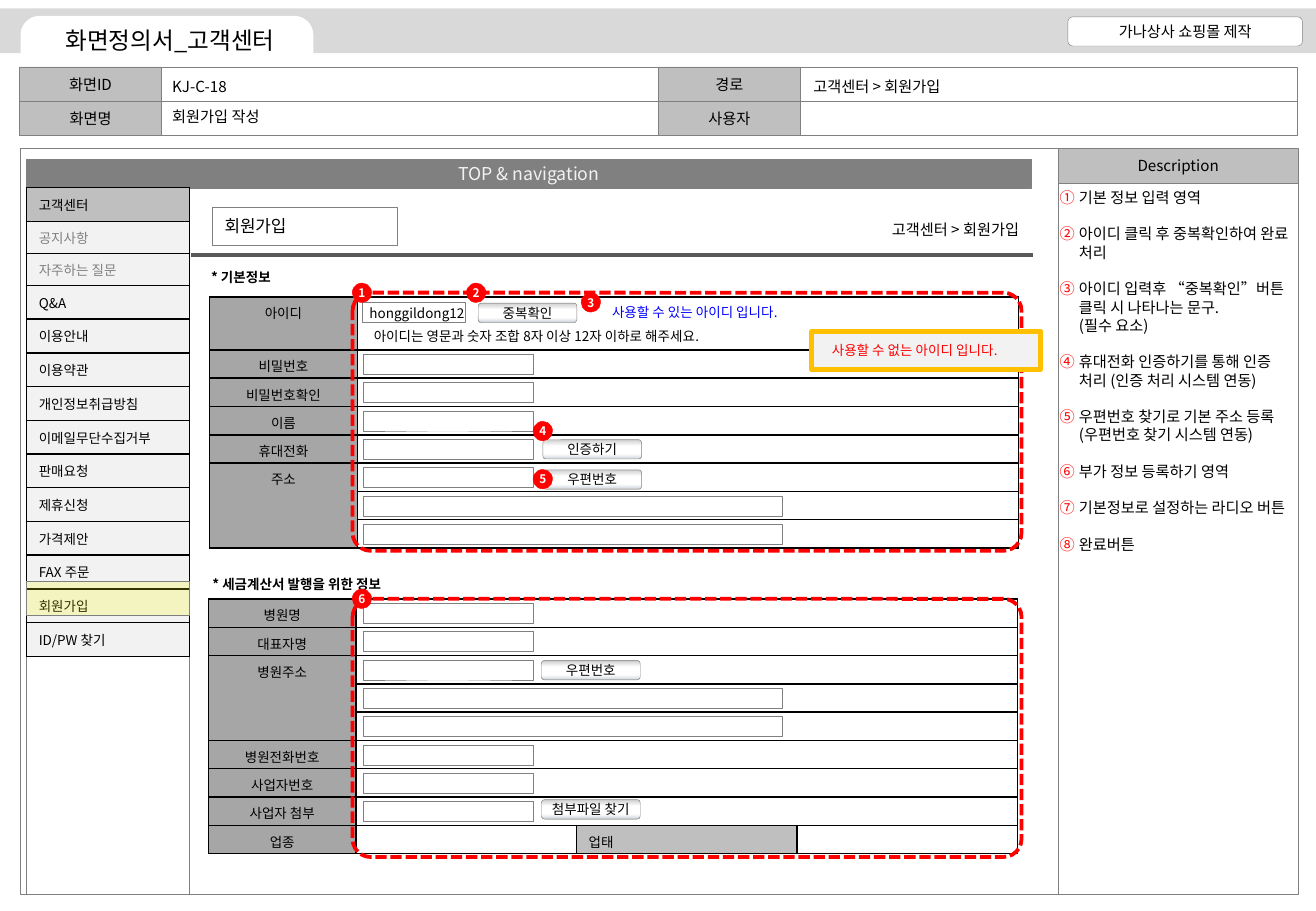
from dataclasses import dataclass

from lxml.etree import SubElement
from pptx import Presentation
from pptx.dml.color import RGBColor
from pptx.enum.dml import MSO_LINE
from pptx.enum.shapes import MSO_CONNECTOR, MSO_SHAPE
from pptx.enum.text import MSO_ANCHOR, MSO_AUTO_SIZE, PP_ALIGN
from pptx.oxml.ns import qn
from pptx.util import Pt


@dataclass(frozen=True)
class Theme:
    font: str = "Noto Sans CJK KR"
    black: str = "000000"
    white: str = "FFFFFF"
    pale: str = "F2F2F2"
    band: str = "D9D9D9"
    silver: str = "BFBFBF"
    label: str = "A6A6A6"
    gray: str = "808080"
    dark: str = "595959"
    red: str = "FF0000"
    blue: str = "0000FF"
    amber: str = "FFC000"
    yellow: str = "FFFF00"
    title: float = 14
    navigation: float = 10.5
    heading: float = 10
    body: float = 9
    small: float = 8
    badge: float = 7
    hairline: float = 0.25
    gloss: tuple = ((0, "BFBFBF"), (8, "D9D9D9"), (34, "FFFFFF"),
                    (74, "FFFFFF"), (93, "DDE1E7"), (100, "CCCCCC"))


class Wireframe:
    """Draw screen elements on one slide in a shared style."""

    def __init__(self, slide, theme):
        self.slide, self.theme = slide, theme

    def style_text(self, frame, text, size, color=None, align=PP_ALIGN.LEFT, bold=False):
        frame.text = text
        for paragraph in frame.paragraphs:
            paragraph.alignment = align
            for run in paragraph.runs:
                run.font.name, run.font.size, run.font.bold = self.theme.font, Pt(size), bold
                run.font.color.rgb = RGBColor.from_string(color or self.theme.black)
                SubElement(run.font._element, qn("a:ea"), typeface=self.theme.font)

    def title(self, text, left, top, width, height):
        shape = self.slide.shapes.title
        shape.left, shape.top, shape.width, shape.height = map(Pt, (left, top, width, height))
        frame = shape.text_frame
        self.style_text(frame, text, self.theme.title, align=PP_ALIGN.CENTER)
        frame.auto_size, frame.vertical_anchor = MSO_AUTO_SIZE.NONE, MSO_ANCHOR.MIDDLE
        frame.margin_left = frame.margin_right = frame.margin_top = frame.margin_bottom = 0
        self.slide.shapes._spTree.append(shape._element)

    def shape(self, left, top, width, height, text="", fill=None, line=None, weight=None,
              kind=MSO_SHAPE.RECTANGLE, size=None, color=None, align=PP_ALIGN.CENTER,
              bold=False, inset=7.2):
        shape = self.slide.shapes.add_shape(kind, *map(Pt, (left, top, width, height)))
        shape.shadow.inherit = False
        if fill:
            shape.fill.solid()
            shape.fill.fore_color.rgb = RGBColor.from_string(fill)
        else:
            shape.fill.background()
        if line:
            shape.line.color.rgb = RGBColor.from_string(line)
            shape.line.width = Pt(weight or self.theme.hairline)
        else:
            shape.line.fill.background()
        if text:
            frame = shape.text_frame
            frame.margin_left = frame.margin_right = Pt(inset)
            frame.margin_top = frame.margin_bottom = 0
            frame.vertical_anchor = MSO_ANCHOR.MIDDLE
            self.style_text(frame, text, size or self.theme.body, color, align, bold)
        return shape

    def text(self, left, top, width, height, text, size=None, color=None,
             align=PP_ALIGN.LEFT, bold=False):
        box = self.slide.shapes.add_textbox(*map(Pt, (left, top, width, height)))
        frame = box.text_frame
        frame.word_wrap, frame.vertical_anchor = True, MSO_ANCHOR.MIDDLE
        frame.margin_top = frame.margin_bottom = 0
        self.style_text(frame, text, size or self.theme.body, color, align, bold)
        return box

    def numbered_list(self, left, top, width, height, items):
        frame = self.text(left, top, width, height, "\n".join(items)).text_frame
        frame.margin_left = frame.margin_right = 0
        frame.vertical_anchor = MSO_ANCHOR.TOP
        for number, paragraph in enumerate(frame.paragraphs):
            paragraph.line_spacing = Pt(10.84)
            paragraph.space_before = Pt(10.84 if number else 0)
            properties = paragraph._p.get_or_add_pPr()
            properties.set("marL", str(Pt(11.5)))
            properties.set("indent", str(-Pt(11.5)))
            SubElement(SubElement(properties, qn("a:buClr")), qn("a:srgbClr"), val=self.theme.red)
            SubElement(properties, qn("a:buAutoNum"), type="circleNumDbPlain")

    def line(self, left, right, top, color, weight):
        connector = self.slide.shapes.add_connector(
            MSO_CONNECTOR.STRAIGHT, Pt(left), Pt(top), Pt(right), Pt(top))
        connector.line.color.rgb = RGBColor.from_string(color)
        connector.line.width = Pt(weight)
        SubElement(connector._element.spPr, qn("a:effectLst"))

    def field(self, left, top, width=101, height=11.8):
        self.shape(left, top, width, height, line=self.theme.gray)

    def button(self, left, top, text):
        shape = self.shape(left, top, 58.5, 11.5, text, line=self.theme.gray,
                           kind=MSO_SHAPE.ROUNDED_RECTANGLE, size=self.theme.small, inset=0)
        shape.fill.gradient()
        shape.fill.gradient_angle = 270
        stops = shape._element.spPr.find(qn("a:gradFill")).find(qn("a:gsLst"))
        stops.clear()
        for position, color in self.theme.gloss:
            stop = SubElement(stops, qn("a:gs"), pos=str(position * 1000))
            SubElement(stop, qn("a:srgbClr"), val=color)

    def badge(self, left, top, number):
        self.shape(left, top, 11.5, 11.5, str(number), self.theme.red, self.theme.red,
                   kind=MSO_SHAPE.OVAL, size=self.theme.badge, color=self.theme.white,
                   bold=True, inset=0)

    def region(self, left, top, width, height):
        shape = self.shape(left, top, width, height, line=self.theme.red, weight=2.25,
                           kind=MSO_SHAPE.ROUNDED_RECTANGLE)
        shape.adjustments[0] = 0.07
        shape.line.dash_style = MSO_LINE.SQUARE_DOT

    def table(self, left, top, widths, heights, merges=()):
        table = self.slide.shapes.add_table(
            len(heights), len(widths), Pt(left), Pt(top), Pt(sum(widths)), Pt(sum(heights))).table
        for column, width in zip(table.columns, widths):
            column.width = Pt(width)
        for row, height in zip(table.rows, heights):
            row.height = Pt(height)
        for first, last in merges:
            table.cell(*first).merge(table.cell(*last))
        return table

    def cell(self, cell, text, fill, color=None, align=PP_ALIGN.LEFT, anchor=MSO_ANCHOR.TOP):
        self.style_text(cell.text_frame, text, self.theme.small, color, align)
        if not text:
            cell.text_frame.paragraphs[0]._p.get_or_add_endParaRPr().set("sz", "800")
        cell.vertical_anchor = anchor
        cell.margin_top = Pt(3.6 if anchor == MSO_ANCHOR.TOP else 1)
        cell.margin_bottom = Pt(1)
        for side in ("a:lnL", "a:lnR", "a:lnT", "a:lnB"):
            border = SubElement(cell._tc.get_or_add_tcPr(), qn(side), w=str(Pt(1)))
            SubElement(SubElement(border, qn("a:solidFill")), qn("a:srgbClr"), val=self.theme.black)
        cell.fill.solid()
        cell.fill.fore_color.rgb = RGBColor.from_string(fill)

    def form(self, left, top, widths, heights, labels, extras, merges):
        table = self.table(left, top, widths, heights, merges)
        for row, label in enumerate(labels):
            self.cell(table.cell(row, 0), label, self.theme.label, align=PP_ALIGN.CENTER)
            for column in range(1, len(widths)):
                text, fill = extras.get((row, column), ("", self.theme.white))
                self.cell(table.cell(row, column), text, fill)


theme = Theme()
presentation = Presentation()
presentation.slide_width, presentation.slide_height = Pt(780), Pt(540)
screen = Wireframe(presentation.slides.add_slide(presentation.slide_layouts[5]), theme)

for row, labels in enumerate((("화면ID", "경로"), ("화면명", "사용자"))):
    for column, label in enumerate(labels):
        left, top = 11.5 + 378.6 * column, 39.6 + 20.4 * row
        screen.shape(left, top, 84.3, 20.4, label, theme.silver, theme.gray)
        screen.shape(left + 84.3, top, 294.3, 20.4, line=theme.gray)
for left, top, text in ((95, 42, "KJ-C-18"), (95, 60, "회원가입 작성"), (475, 42, "고객센터 > 회원가입")):
    screen.text(left, top, 150, 18, text)

screen.shape(12, 88, 615.5, 442, line=theme.gray)
screen.shape(627.3, 88, 142, 20.5, "Description", theme.silver, theme.gray)
screen.shape(627.3, 108.5, 142, 421.5, line=theme.gray)
screen.shape(0, 5, 780, 26.6, fill=theme.band)
tab = screen.shape(12.2, 9.4, 173.5, 22.3, fill=theme.white, kind=MSO_SHAPE.ROUND_2_SAME_RECTANGLE)
tab.adjustments[0] = 0.5
screen.title("화면정의서_고객센터", 21.6, 15, 158.4, 17.3)
screen.shape(633, 10, 139, 17.3, "가나상사 쇼핑몰 제작", theme.white, theme.gray,
             kind=MSO_SHAPE.ROUNDED_RECTANGLE)
screen.numbered_list(628, 111.6, 142, 418, (
    "기본 정보 입력 영역", "아이디 클릭 후 중복확인하여 완료 처리",
    "아이디 입력후 “중복확인”버튼 클릭 시 나타나는 문구.\v(필수 요소)",
    "휴대전화 인증하기를 통해 인증 처리 (인증 처리 시스템 연동)",
    "우편번호 찾기로 기본 주소 등록\v(우편번호 찾기 시스템 연동)",
    "부가 정보 등록하기 영역", "기본정보로 설정하는 라디오 버튼", "완료버튼"))

screen.shape(15.8, 111.5, 96.5, 418.5, line=theme.gray)
screen.shape(15.8, 94.3, 595.5, 17.2, "TOP & navigation", theme.gray, theme.gray,
             size=theme.navigation, color=theme.pale)
menu = ("고객센터", "공지사항", "자주하는 질문", "Q&A", "이용안내", "이용약관", "개인정보취급방침",
        "이메일무단수집거부", "판매요청", "제휴신청", "가격제안", "FAX 주문", "회원가입", "ID/PW 찾기")
menu_table = screen.table(15.8, 111.2, [96.5], [20, 19, 19] + [20] * 11)
for row, entry in enumerate(menu):
    screen.cell(menu_table.cell(row, 0), entry, theme.pale if row else theme.silver,
                theme.gray if row in (1, 2) else theme.black, anchor=MSO_ANCHOR.MIDDLE)
screen.line(113, 612, 151, theme.dark, 2.25)
screen.shape(126, 122.7, 109.5, 22.5, "회원가입", line=theme.gray, size=theme.heading,
             align=PP_ALIGN.LEFT)
screen.text(491, 127, 120, 18, "고객센터 > 회원가입", align=PP_ALIGN.RIGHT)

pitch, member_top, tax_top, field_left = 16.8, 176, 355, 215
screen.text(118, 156, 150, 17, "* 기본정보", theme.small, bold=True)
screen.text(118.8, 337.5, 180, 17, "* 세금계산서 발행을 위한 정보", theme.small, bold=True)
screen.form(124.3, member_top, [87.5, 392], [31.4] + [pitch] * 7,
            ("아이디", "비밀번호", "비밀번호확인", "이름", "휴대전화", "주소", "", ""),
            {(0, 1): ("honggildong12", theme.white)}, [((5, 0), (7, 0))])
screen.form(123.6, tax_top, [87.5, 130.7, 130.7, 130.7], [pitch] * 9,
            ("병원명", "대표자명", "병원주소", "", "", "병원전화번호", "사업자번호", "사업자 첨부", "업종"),
            {(8, 2): ("업태", theme.silver)},
            [((2, 0), (4, 0))] + [((row, 1), (row, 3)) for row in range(8)])
screen.field(field_left, 179.3, 60.5)
for first_top, rows, wide_rows in ((member_top + 31.4, 7, (5, 6)), (tax_top, 8, (3, 4))):
    for row in range(rows):
        screen.field(field_left, first_top + pitch * row + 2.6, 248.5 if row in wide_rows else 101)
for left, top, text in ((283.5, 179.7, "중복확인"), (321.8, 260.6, "인증하기"), (321.8, 278.5, "우편번호"),
                        (321, 391.5, "우편번호"), (321, 474, "첨부파일 찾기")):
    screen.button(left, top, text)
screen.text(214.5, 193.5, 260, 11.5, "아이디는 영문과 숫자 조합 8자 이상 12자 이하로 해주세요.", theme.small)

for top in (173.5, 355):
    screen.region(209, top, 396.5, 153)
screen.shape(481, 196.5, 136, 22.5, fill=theme.pale, line=theme.amber, weight=3)
screen.text(355.7, 179.3, 130, 11.5, "사용할 수 있는 아이디 입니다.", theme.small, theme.blue)
screen.text(486, 202, 130, 11.5, "사용할 수 없는 아이디 입니다.", theme.small, theme.red)
badges = ((208.8, 167.8), (276.5, 167.8), (344.5, 173.5), (316, 249.8), (316, 278.3), (208.8, 349.2))
for number, (left, top) in enumerate(badges, 1):
    screen.badge(left, top, number)
highlight = screen.shape(15.8, 344.6, 96.5, 20.2, fill=theme.yellow, line=theme.gray)
highlight_color = highlight._element.spPr.find(qn("a:solidFill")).find(qn("a:srgbClr"))
SubElement(highlight_color, qn("a:alpha"), val="20000")

presentation.save("out.pptx")
